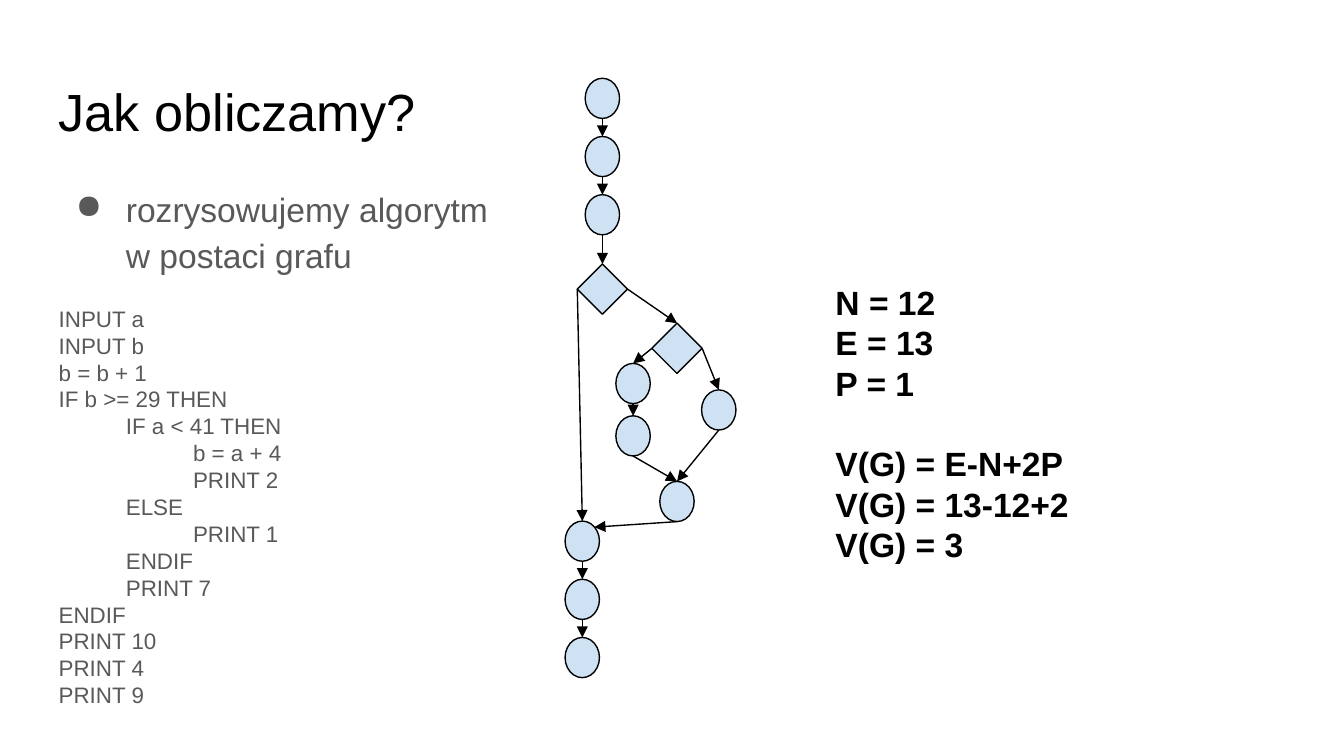
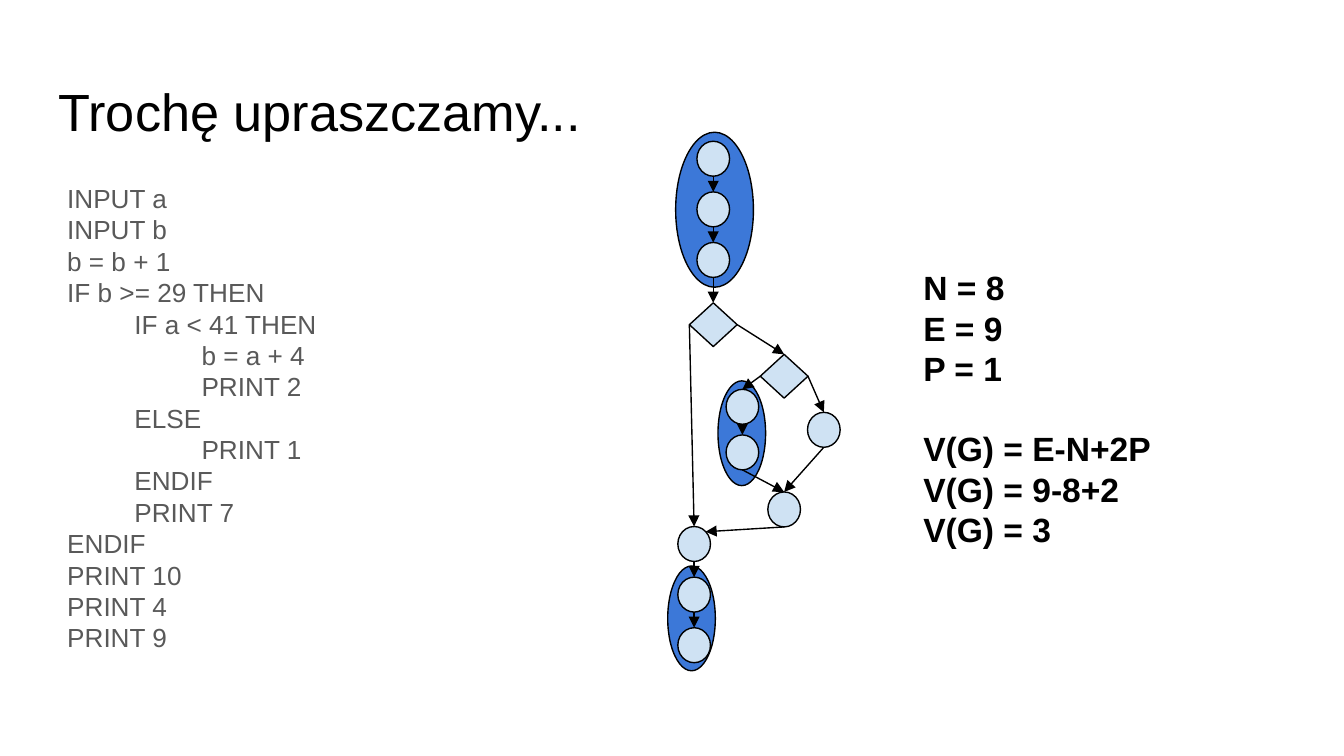
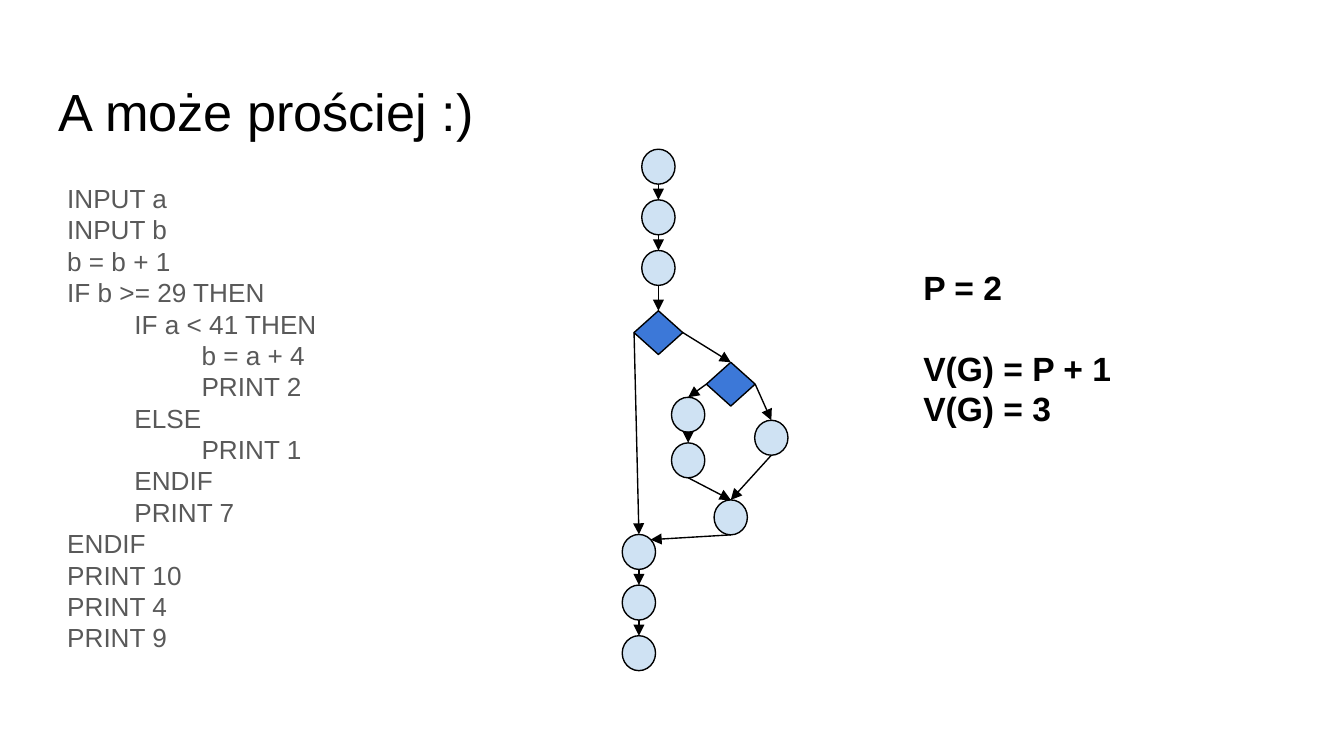
from lxml import etree
from pptx import Presentation
from pptx.dml.color import RGBColor
from pptx.enum.shapes import MSO_CONNECTOR, MSO_SHAPE
from pptx.enum.text import MSO_ANCHOR
from pptx.oxml.ns import qn
from pptx.util import Cm, Pt

ELLIPSE = MSO_SHAPE.OVAL
DIAMOND = MSO_SHAPE.DIAMOND
STRAIGHT = MSO_CONNECTOR.STRAIGHT
TOP_ANCHOR = MSO_ANCHOR.TOP

COLORS = {"black": "000000", "gray": "595959", "pale": "CFE2F3", "blue": "3C78D8"}
FONT = "Arial"
TAB = 1.27

# Program listing: indentation depth and statement
PROGRAM = [
    (0, "INPUT a"), (0, "INPUT b"), (0, "b = b + 1"),
    (0, "IF b >= 29 THEN"),
    (1, "IF a < 41 THEN"), (2, "b = a + 4"), (2, "PRINT 2"),
    (1, "ELSE"), (2, "PRINT 1"),
    (1, "ENDIF"), (1, "PRINT 7"),
    (0, "ENDIF"), (0, "PRINT 10"), (0, "PRINT 4"), (0, "PRINT 9"),
]

# Flow graph at full scale: left and top of each node, in cm
STEP = 1.1
STEPS = {
    **{f"start{i}": (0.38, i * STEP) for i in range(3)},
    "then0": (0.96, 5.39), "then1": (0.96, 6.38),
    "else": (2.58, 5.89), "join": (1.79, 7.62),
    **{f"end{i}": (0, 8.37 + i * STEP) for i in range(3)},
}
DECISIONS = {"outer": (0.23, 3.51), "inner": (1.64, 4.63)}
STEP_SIZE = (0.65, 0.76)
DECISION_SIZE = (0.95, 0.95)

# Points on a node as fractions of its width and height
SITES = {"top": (0.5, 0), "bottom": (0.5, 1), "left": (0, 0.5),
         "right": (1, 0.5), "corner": (0.85, 0.15)}
EDGES = [
    ("start0", "bottom", "start1", "top"), ("start1", "bottom", "start2", "top"),
    ("start2", "bottom", "outer", "top"), ("outer", "right", "inner", "top"),
    ("inner", "right", "else", "top"), ("inner", "left", "then0", "top"),
    ("then0", "bottom", "then1", "top"), ("then1", "bottom", "join", "top"),
    ("else", "bottom", "join", "top"), ("outer", "left", "end0", "top"),
    ("join", "bottom", "end0", "corner"),
    ("end0", "bottom", "end1", "top"), ("end1", "bottom", "end2", "top"),
]


def rgb(name):
    return RGBColor.from_string(COLORS[name])


class Lecture:
    """Holds the deck, its style and the current slide."""

    def __init__(self):
        self.deck = Presentation()
        self.deck.slide_width, self.deck.slide_height = Cm(25.4), Cm(14.29)
        self.slide = None

    def new_slide(self, title):
        self.slide = self.deck.slides.add_slide(self.deck.slide_layouts[6])
        frame = self.text_box(0.86, 1.24, 23.67, 1.6)
        frame.text = title
        self.format(frame.paragraphs[0], 28, "black")

    def text_box(self, left, top, width, height):
        box = self.slide.shapes.add_textbox(Cm(left), Cm(top), Cm(width), Cm(height))
        frame = box.text_frame
        frame.word_wrap = True
        frame.vertical_anchor = TOP_ANCHOR
        frame.margin_left = frame.margin_right = Cm(0.25)
        frame.margin_top = frame.margin_bottom = Cm(0.25)
        return frame

    def format(self, para, size, color, bold=False):
        for span in para.runs:
            span.font.name = FONT
            span.font.size = Pt(size)
            span.font.bold = bold
            span.font.color.rgb = rgb(color)

    def indent(self, para, margin, first):
        props = para._p.get_or_add_pPr()
        props.set("marL", str(Cm(margin)))
        props.set("indent", str(Cm(first)))
        return props

    def bullet(self, para, text):
        para.text = text
        para.line_spacing = 1.15
        self.format(para, 18, "gray")
        props = self.indent(para, TAB, -0.95)
        color = etree.SubElement(props, qn("a:buClr"))
        etree.SubElement(color, qn("a:srgbClr"), val=COLORS["gray"])
        etree.SubElement(props, qn("a:buChar"), char="●")

    def listing(self, left, size, intro=None):
        frame = self.text_box(left, 3.2, 23.67, 9.5)
        para = frame.paragraphs[0]
        if intro:
            self.bullet(para, intro)
            para = frame.add_paragraph()
            para.space_before = Pt(16)
        for number, (depth, statement) in enumerate(PROGRAM):
            if number:
                para = frame.add_paragraph()
            para.text = statement
            self.format(para, size, "gray")
            if depth:
                self.indent(para, (depth - 1) * TAB, TAB)

    def formulas(self, left, top, counts, results):
        frame = self.text_box(left, top, 5.59, 6.3)
        frame.text = "\n".join(counts + results)
        for para in frame.paragraphs:
            self.format(para, 18, "black", bold=True)
        # One line of space between the counts and the results
        frame.paragraphs[len(counts)].space_before = Pt(21.6)

    def node(self, kind, left, top, width, height, color):
        shape = self.slide.shapes.add_shape(
            kind, Cm(left), Cm(top), Cm(width), Cm(height))
        shape.shadow.inherit = False
        shape.fill.solid()
        shape.fill.fore_color.rgb = rgb(color)
        shape.line.color.rgb = rgb("black")
        shape.line.width = Pt(0.75)
        return shape

    def arrow(self, start, end):
        line = self.slide.shapes.add_connector(STRAIGHT, *start, *end)
        line.line.color.rgb = rgb("black")
        line.line.width = Pt(0.75)
        etree.SubElement(line.line._get_or_add_ln(), qn("a:tailEnd"), type="triangle")
        etree.SubElement(line._element.spPr, qn("a:effectLst"))

    def graph(self, left, top, scale_x=1, scale_y=1, decision_color="pale"):
        nodes = {}
        for kind, places, (width, height), color in (
                (ELLIPSE, STEPS, STEP_SIZE, "pale"),
                (DIAMOND, DECISIONS, DECISION_SIZE, decision_color)):
            for name, (x, y) in places.items():
                nodes[name] = self.node(
                    kind, left + x * scale_x, top + y * scale_y,
                    width * scale_x, height * scale_y, color)

        def point(name, site):
            shape, (across, down) = nodes[name], SITES[site]
            return (round(shape.left + across * shape.width),
                    round(shape.top + down * shape.height))

        for source, source_site, target, target_site in EDGES:
            self.arrow(point(source, source_site), point(target, target_site))


def main():
    lecture = Lecture()

    # Full graph
    lecture.new_slide("Jak obliczamy?")
    lecture.listing(0.86, 12, "rozrysowujemy algorytm\vw postaci grafu")
    lecture.graph(10.68, 1.48)
    lecture.formulas(15.54, 5.08, ["N = 12", "E = 13", "P = 1"],
                     ["V(G) = E-N+2P", "V(G) = 13-12+2", "V(G) = 3"])

    # Sequences merged into single nodes
    lecture.new_slide("Trochę upraszczamy...")
    lecture.listing(1.02, 14)
    lecture.formulas(17.2, 4.8, ["N = 8", "E = 9", "P = 1"],
                     ["V(G) = E-N+2P", "V(G) = 9-8+2", "V(G) = 3"])
    for merged in ((12.62, 10.7, 0.9, 1.98), (13.57, 7.2, 0.9, 1.98),
                   (12.77, 2.5, 1.47, 2.93)):
        lecture.node(ELLIPSE, *merged, "blue")
    lecture.graph(12.81, 2.67, 0.95, 0.87)

    # Counting decisions only
    lecture.new_slide("A może prościej :)")
    lecture.listing(1.02, 14)
    lecture.formulas(17.2, 4.8, ["P = 2"], ["V(G) = P + 1", "V(G) = 3"])
    lecture.graph(11.76, 2.82, 0.97, 0.87, "blue")

    lecture.deck.save("out.pptx")


if __name__ == "__main__":
    main()
